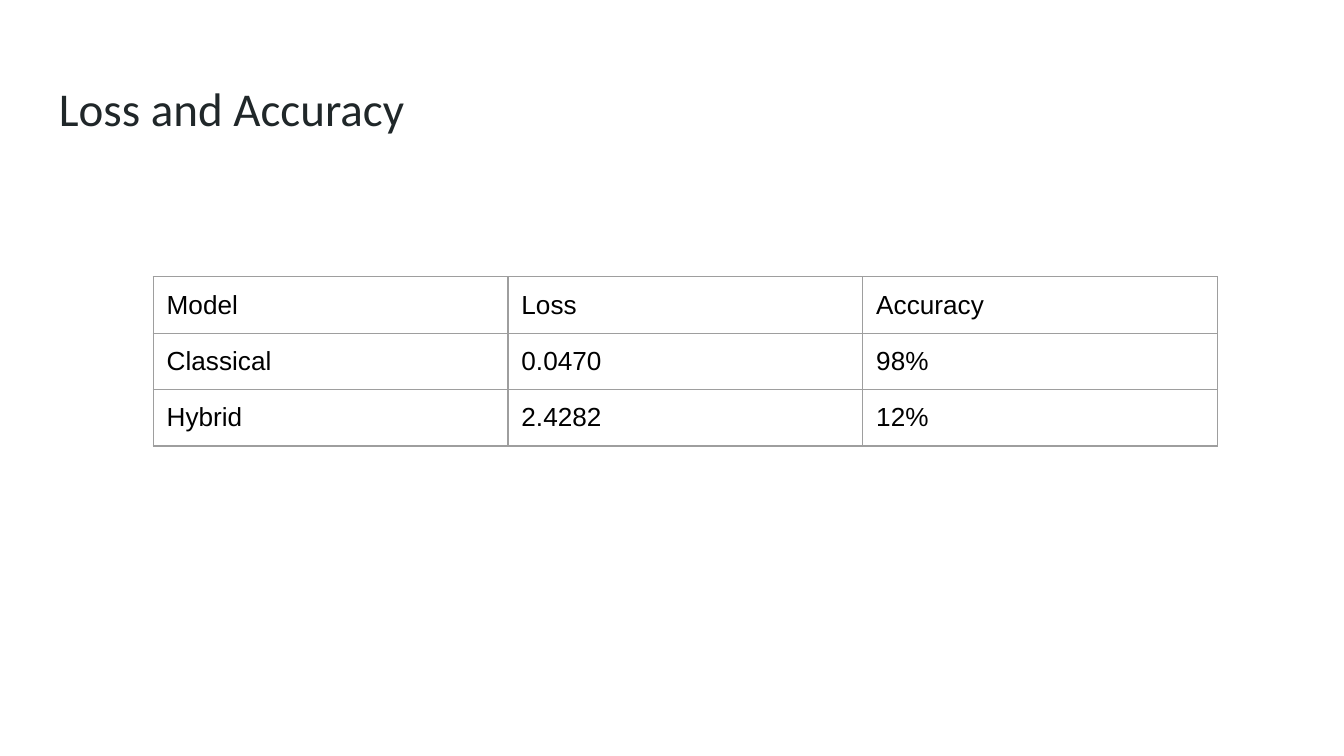
from lxml import etree
from pptx import Presentation
from pptx.dml.color import RGBColor
from pptx.enum.text import MSO_ANCHOR
from pptx.oxml.ns import qn
from pptx.util import Inches, Pt

TOP = MSO_ANCHOR.TOP
COLORS = {"title": "202729", "text": "000000", "rule": "9E9E9E"}

TITLE = "Loss and Accuracy"
ROWS = [
    ("Model", "Loss", "Accuracy"),
    ("Classical", "0.0470", "98%"),
    ("Hybrid", "2.4282", "12%"),
]

WIDTH = Inches(10)
HEIGHT = WIDTH * 9 // 16
COL_W, ROW_H = 2.64, 0.42


def write(para, text, font, size, color):
    run = para.add_run()
    run.text = text
    run.font.name = font
    run.font.size = Pt(size)
    run.font.color.rgb = RGBColor.from_string(COLORS[color])


def pad(box, bottom=0.1):
    """Set the insets of a text frame or a table cell."""
    box.margin_left = box.margin_right = box.margin_top = Inches(0.1)
    box.margin_bottom = Inches(bottom)
    box.vertical_anchor = TOP


def rule(cell):
    """Draw a thin line on all four sides of a cell."""
    props = cell._tc.get_or_add_tcPr()
    for side in ("lnL", "lnR", "lnT", "lnB"):
        line = etree.SubElement(props, qn(f"a:{side}"), w=str(Pt(0.75)))
        fill = etree.SubElement(line, qn("a:solidFill"))
        etree.SubElement(fill, qn("a:srgbClr"), val=COLORS["rule"])


def add_title(slide):
    box = slide.shapes.add_textbox(
        Inches(0.34), Inches(0.49), Inches(9.32), Inches(0.63))
    frame = box.text_frame
    frame.word_wrap = True
    pad(frame)
    write(frame.paragraphs[0], TITLE, "Calibri", 25.2, "title")


def add_scores(slide):
    count = len(ROWS[0])
    table = slide.shapes.add_table(
        len(ROWS), count, Inches(1.14), Inches(2.06),
        Inches(COL_W * count), Inches(ROW_H * len(ROWS))).table
    table.first_row = table.horz_banding = False
    for col in table.columns:
        col.width = Inches(COL_W)
    for r, row in enumerate(ROWS):
        table.rows[r].height = Inches(ROW_H)
        for c, text in enumerate(row):
            cell = table.cell(r, c)
            pad(cell, bottom=0.08)  # leaves room for the rule
            rule(cell)
            cell.fill.background()
            write(cell.text_frame.paragraphs[0], text, "Arial", 14, "text")


def main():
    prs = Presentation()
    prs.slide_width, prs.slide_height = WIDTH, HEIGHT
    slide = prs.slides.add_slide(prs.slide_layouts[6])
    add_title(slide)
    add_scores(slide)
    prs.save("out.pptx")


if __name__ == "__main__":
    main()
